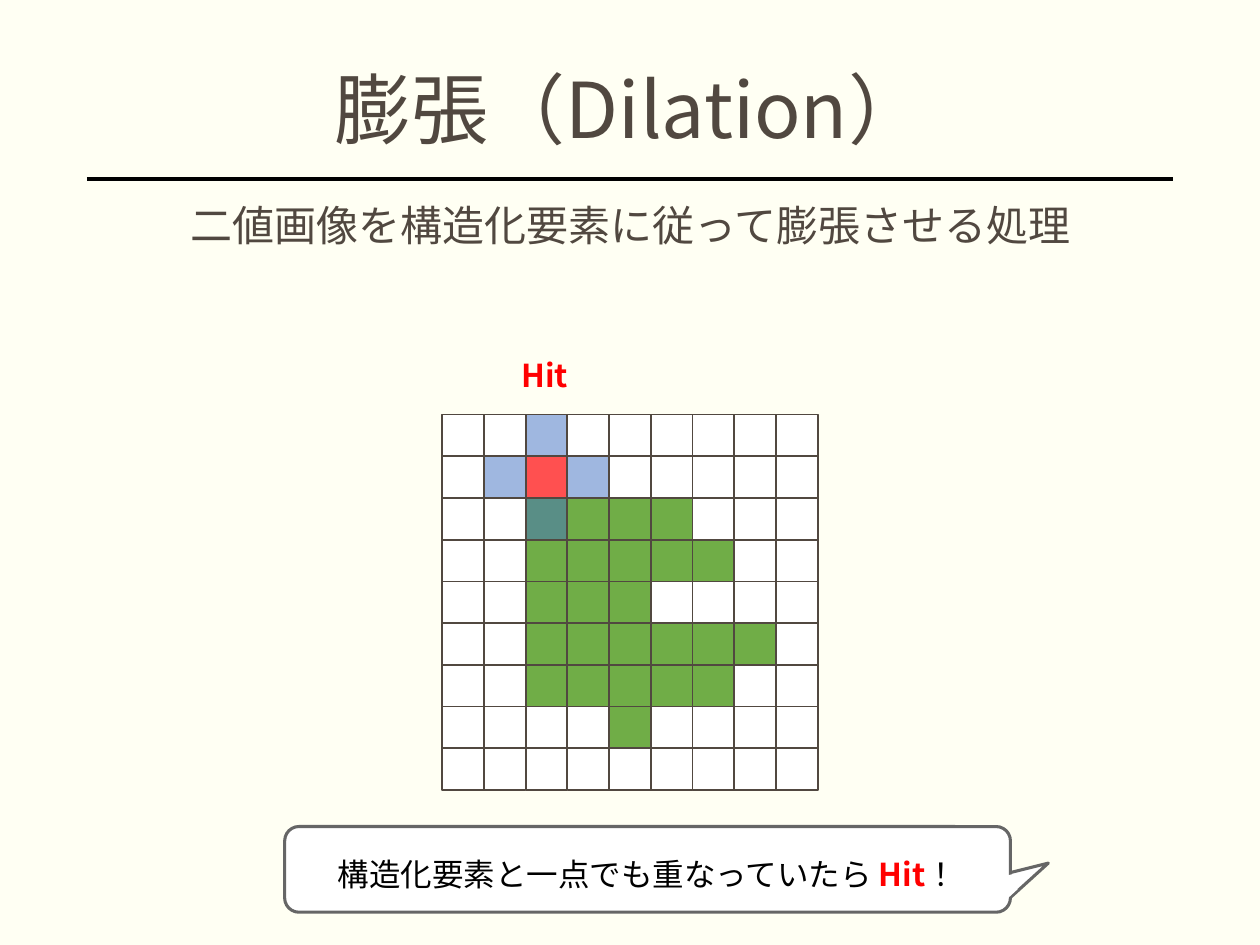
"""Build a slide that explains binary dilation with a cross-shaped element."""
from dataclasses import dataclass
from typing import Optional

import pptx
import pptx.dml.color
import pptx.enum.lang
import pptx.enum.shapes
import pptx.enum.text
import pptx.oxml
import pptx.oxml.ns
import pptx.util
from pptx.util import Inches

FONT = "Noto Sans CJK JP"
BROWN, RED, WHITE, GREY, BLUE = "514840", "FF0000", "FFFFFF", "666666", "4472C4"
GREEN, HIT = "70AD47", "FF5050"
GRID_LEFT, GRID_TOP, CELL = 3.51, 3.29, 2.98 / 9
IMAGE = (
    ".........",
    ".........",
    "..####...",
    "..#####..",
    "..###....",
    "..######.",
    "..#####..",
    "....#....",
    ".........",
)
ELEMENT = (".#.", "# #", ".#.")
ELEMENT_COL, ELEMENT_ROW = 1, 0
RECT = pptx.enum.shapes.MSO_SHAPE.RECTANGLE
ROUND = pptx.enum.shapes.MSO_SHAPE.ROUNDED_RECTANGLE
CENTER = pptx.enum.text.PP_ALIGN.CENTER
MIDDLE = pptx.enum.text.MSO_ANCHOR.MIDDLE


@dataclass
class Box:
    left: float
    top: float
    width: float
    height: float
    rotation: float = 0

    def lengths(self) -> list:
        return [Inches(v) for v in (self.left, self.top, self.width, self.height)]


def rgb(color: str) -> pptx.dml.color.RGBColor:
    return pptx.dml.color.RGBColor.from_string(color)


def cell_box(col: int, row: int) -> Box:
    return Box(GRID_LEFT + col * CELL, GRID_TOP + row * CELL, CELL, CELL)


def style(sp, fill: Optional[str], line: Optional[str], width: float = 1,
          alpha: Optional[int] = None) -> None:
    sp.shadow.inherit = False
    if fill:
        sp.fill.solid()
        sp.fill.fore_color.rgb = rgb(fill)
    else:
        sp.fill.background()
    if alpha:
        clr = sp.fill._xPr.find(".//" + pptx.oxml.ns.qn("a:srgbClr"))
        pptx.oxml.ns.qn("a:alpha")
        etree_sub(clr, "a:alpha").set("val", str(alpha * 1000))
    if line:
        sp.line.color.rgb = rgb(line)
        sp.line.width = pptx.util.Pt(width)
    else:
        sp.line.fill.background()


def etree_sub(parent, tag: str):
    child = parent.makeelement(pptx.oxml.ns.qn(tag), {})
    parent.append(child)
    return child


def add_box(shapes, box: Box, fill: Optional[str], line: Optional[str] = BROWN,
            kind=RECT, **kwargs):
    sp = shapes.add_shape(kind, *box.lengths())
    sp.rotation = box.rotation
    style(sp, fill, line, **kwargs)
    return sp


def add_run(p, text: str, size: float, color: str = BROWN, bold: bool = False) -> None:
    r = p.add_run()
    r.text = text
    r.font.name = FONT
    r.font.size = pptx.util.Pt(size)
    r.font.bold = bold
    r.font.color.rgb = rgb(color)
    r.font.language_id = pptx.enum.lang.MSO_LANGUAGE_ID.JAPANESE
    etree_sub(r.font._element, "a:ea").set("typeface", FONT)


def add_text(s, box: Box, text: str, size: float, align=None, spacing=None,
             wrap: bool = True, **kwargs) -> None:
    tf = s.shapes.add_textbox(*box.lengths()).text_frame
    tf.word_wrap = wrap
    p = tf.paragraphs[0]
    p.alignment = align
    p.line_spacing = spacing
    add_run(p, text, size, **kwargs)


def add_title(s, box: Box, text: str) -> None:
    title = s.shapes.title
    title.left, title.top, title.width, title.height = box.lengths()
    tf = title.text_frame
    tf.vertical_anchor = MIDDLE
    p = tf.paragraphs[0]
    p.alignment = CENTER
    p.line_spacing = 0.9
    add_run(p, text, 44)


def add_rule(s, left: float, right: float, top: float) -> None:
    rule = s.shapes.add_connector(pptx.enum.shapes.MSO_CONNECTOR.STRAIGHT,
                                  Inches(left), Inches(top), Inches(right), Inches(top))
    rule.line.color.rgb = rgb("000000")
    rule.line.width = pptx.util.Pt(2)
    etree_sub(rule._element.spPr, "a:effectLst")


def add_grid(s) -> None:
    image = s.shapes.add_group_shape()
    for row, marks in enumerate(IMAGE):
        for col, mark in enumerate(marks):
            add_box(image.shapes, cell_box(col, row), GREEN if mark == "#" else WHITE)
    element = s.shapes.add_group_shape()
    for row, marks in enumerate(ELEMENT):
        for col, mark in enumerate(marks):
            if mark != " ":
                box = cell_box(ELEMENT_COL + col, ELEMENT_ROW + row)
                fill = BLUE if mark == "#" else None
                add_box(element.shapes, box, fill, alpha=51 if fill else None)
    add_box(s.shapes, cell_box(ELEMENT_COL + 1, ELEMENT_ROW + 1), HIT)


def add_callout(s) -> None:
    fb = s.shapes.build_freeform(Inches(8), Inches(6.93))
    fb.add_line_segments([(Inches(8.32), Inches(6.85)), (Inches(8), Inches(7.14))])
    style(fb.convert_to_shape(), WHITE, GREY, width=1.75)
    sp = add_box(s.shapes, Box(2.26, 6.56, 5.76, 0.68), WHITE, GREY, ROUND, width=1.75)
    tf = sp.text_frame
    tf.word_wrap = False
    tf.vertical_anchor = MIDDLE
    tf.margin_top = Inches(0.12)
    p = tf.paragraphs[0]
    p.alignment = CENTER
    add_run(p, "構造化要素と一点でも重なっていたら ", 18, "000000")
    add_run(p, "Hit", 18, RED, True)
    add_run(p, "！", 18, "000000")
    joint = s.shapes.add_group_shape()
    for box in (Box(7.94, 6.91, 0.09, 0.17, 78), Box(7.97, 7.01, 0.08, 0.11, 47.5)):
        add_box(joint.shapes, box, WHITE, None)


def main() -> None:
    prs = pptx.Presentation()
    prs.slide_width, prs.slide_height = Inches(10), Inches(7.5)
    s = prs.slides.add_slide(prs.slide_layouts[5])
    s.background.fill.solid()
    s.background.fill.fore_color.rgb = rgb("FFFFF3")
    add_rule(s, 0.69, 9.31, 1.42)
    add_title(s, Box(0.69, 0.47, 8.62, 0.86), "膨張（Dilation）")
    add_text(s, Box(0.69, 1.58, 8.62, 5.57), "二値画像を構造化要素に従って膨張させる処理", 24,
             align=CENTER, spacing=0.9)
    add_grid(s)
    add_text(s, Box(4.04, 2.78, 0.59, 0.4), "Hit", 18, wrap=False, color=RED, bold=True)
    add_callout(s)
    prs.save("out.pptx")


if __name__ == "__main__":
    main()
